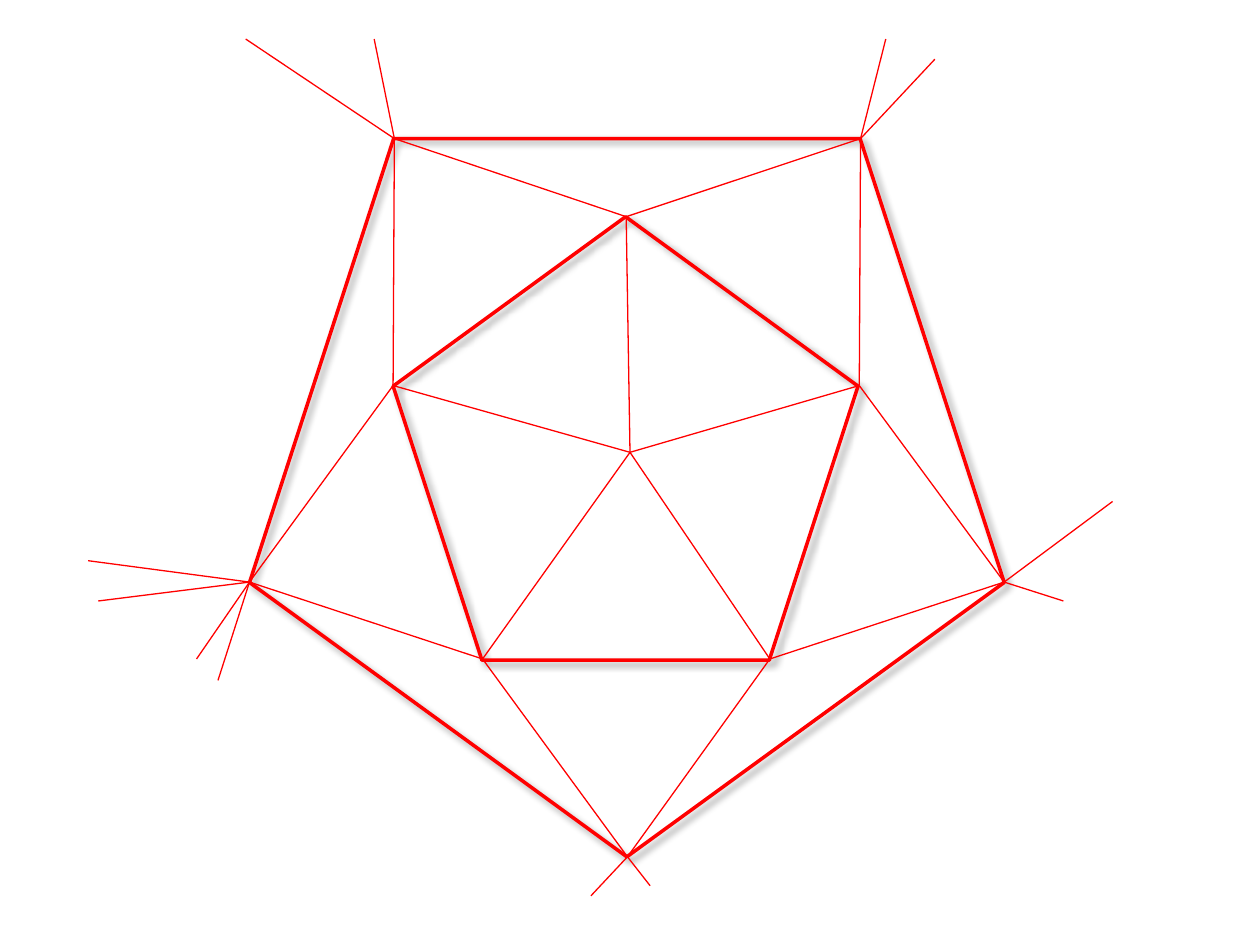
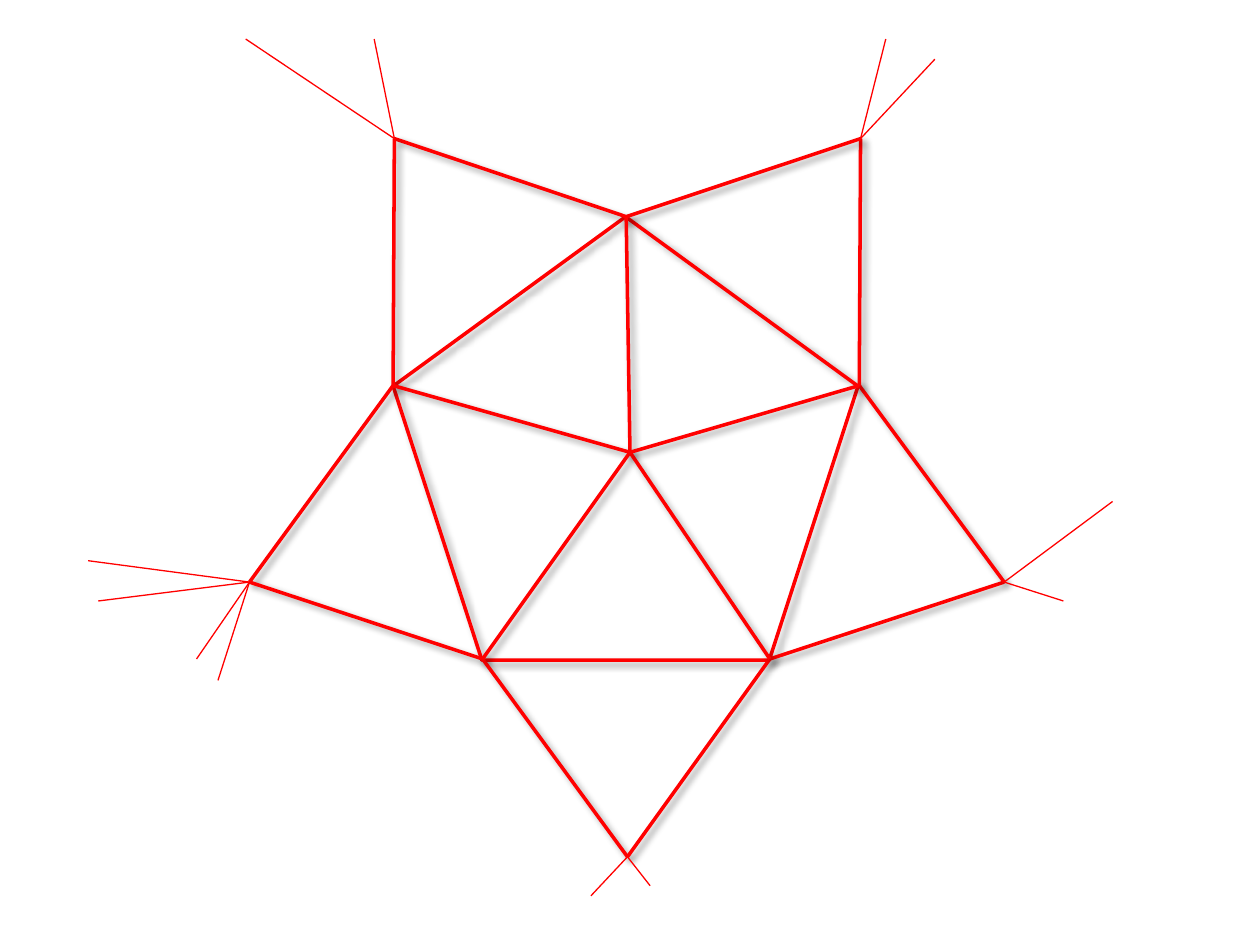
from lxml.etree import SubElement
from pptx import Presentation
from pptx.dml.color import RGBColor
from pptx.enum.shapes import MSO_CONNECTOR as CONNECTOR, MSO_SHAPE as SHAPE
from pptx.oxml.ns import qn
from pptx.util import Inches, Pt

RED = RGBColor(0xFF, 0x00, 0x00)
BLACK = RGBColor(0x00, 0x00, 0x00)
WHITE = RGBColor(0xFF, 0xFF, 0xFF)
THIN, THICK = 0.75, 2

# Vertices of the net, counterclockwise; outer i lies between inner i and i + 1
CENTRE = (5, 3.59)
INNER = [(4.97, 1.72), (3.12, 3.06), (3.83, 5.23), (6.11, 5.23), (6.82, 3.06)]
OUTER = [(3.13, 1.1), (1.98, 4.62), (4.98, 6.8), (7.97, 4.62), (6.83, 1.1)]

# Free ends of the edges that leave each outer vertex
RAY_ENDS = [
    [(2.97, 0.31), (1.95, 0.31)],
    [(1.56, 5.23), (1.73, 5.4), (0.7, 4.45), (0.78, 4.77)],
    [(5.16, 7.03), (4.69, 7.11)],
    [(8.83, 3.98), (8.44, 4.77)],
    [(7.03, 0.31), (7.42, 0.47)],
]

# Left, top, width, height of the two pentagons
INNER_BOX = (3.12, 1.72, 3.69, 3.52)
OUTER_BOX = (1.98, 1.1, 5.99, 5.7)


class NetDrawing:
    """Holds the line style and the slide being drawn."""

    def __init__(self, deck):
        self.deck = deck
        self.shapes = None

    def new_slide(self, grouped=False):
        slide = self.deck.slides.add_slide(self.deck.slide_layouts[6])
        slide.background.fill.solid()
        slide.background.fill.fore_color.rgb = WHITE
        self.shapes = slide.shapes
        if grouped:
            self.shapes = slide.shapes.add_group_shape().shapes

    def style(self, outline, weight):
        """Red line; thick lines cast a soft shadow, thin ones none."""
        outline.line.color.rgb = RED
        outline.line.width = Pt(weight)
        effects = SubElement(outline._element.spPr, qn("a:effectLst"))
        if weight == THICK:
            shadow = SubElement(
                effects, qn("a:outerShdw"), blurRad=str(Pt(4)), dist=str(Pt(3)),
                dir=str(45 * 60000), algn="tl", rotWithShape="0")
            colour = SubElement(shadow, qn("a:srgbClr"), val=str(BLACK))
            SubElement(colour, qn("a:alpha"), val="40000")

    def pentagon(self, box, rotation=0):
        outline = self.shapes.add_shape(SHAPE.REGULAR_PENTAGON, *map(Inches, box))
        outline.rotation = rotation
        outline.fill.background()
        self.style(outline, THICK)

    def edge(self, start, end, weight):
        edge = self.shapes.add_connector(
            CONNECTOR.STRAIGHT, *map(Inches, (*start, *end)))
        self.style(edge, weight)

    def ring(self, weight):
        for i, vertex in enumerate(OUTER):
            for neighbour in (INNER[i], INNER[(i + 1) % len(INNER)]):
                self.edge(vertex, neighbour, weight)

    def rays(self):
        for vertex, ends in zip(OUTER, RAY_ENDS):
            for end in ends:
                self.edge(vertex, end, THIN)

    def spokes(self, weight):
        for vertex in INNER:
            self.edge(CENTRE, vertex, weight)


deck = Presentation()
deck.slide_width, deck.slide_height = Inches(10), Inches(7.5)
net = NetDrawing(deck)

# Slide 1: both pentagons stand out, grouped; slide 2: the triangles stand out
for weight, both_pentagons in ((THIN, True), (THICK, False)):
    net.new_slide(grouped=both_pentagons)
    net.pentagon(INNER_BOX)
    if both_pentagons:
        net.pentagon(OUTER_BOX, rotation=180)
    net.ring(weight)
    net.rays()
    net.spokes(weight)

deck.save("out.pptx")
